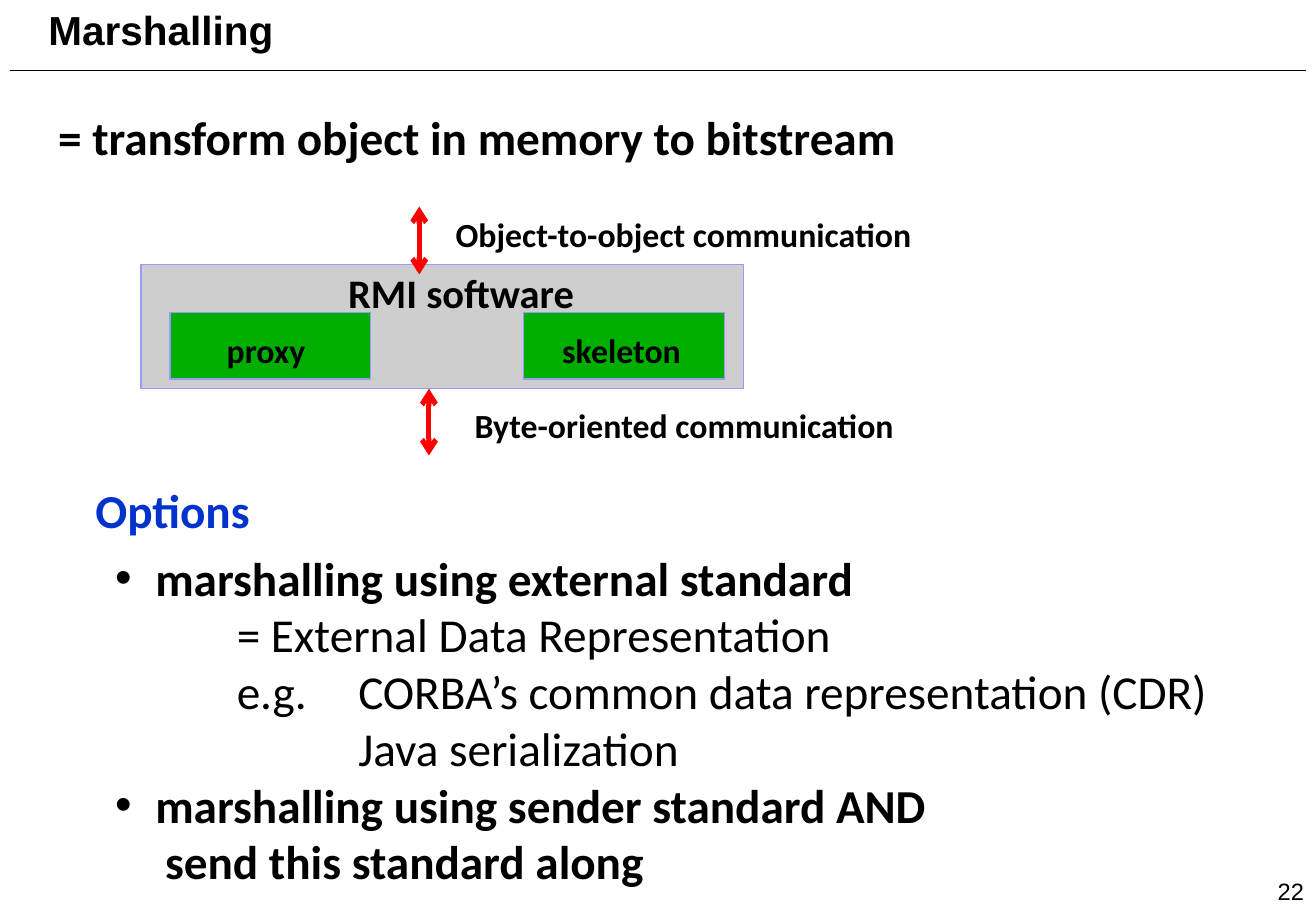
from lxml import etree
from pptx import Presentation
from pptx import util as u
from pptx.dml.color import RGBColor
from pptx.enum import shapes, text
from pptx.oxml.ns import qn

PX = 9144
LEFT, CENTER, RIGHT = text.PP_ALIGN.LEFT, text.PP_ALIGN.CENTER, text.PP_ALIGN.RIGHT
TOP, MIDDLE, BOTTOM = text.MSO_ANCHOR.TOP, text.MSO_ANCHOR.MIDDLE, text.MSO_ANCHOR.BOTTOM


def color(value):
    return RGBColor.from_string(value)


def style(para, size, bold=True, ink="000000", face="Calibri", align=LEFT):
    para.alignment = align
    para.font.size = u.Pt(size)
    para.font.bold = bold
    para.font.name = face
    para.font.color.rgb = color(ink)


deck = Presentation()
deck.slide_width, deck.slide_height = 1083 * PX, 750 * PX
page = deck.slides.add_slide(deck.slide_layouts[6])

blocks = [
    ("RMI software", 116, 218, 496, 102, "CECECE", 24, TOP, (31, 0, 3)),
    ("proxy", 140, 257, 165, 55, "00AE00", 20, MIDDLE, (0, 7, 7)),
    ("skeleton", 431, 257, 165, 55, "00AE00", 20, MIDDLE, (0, 4, 7)),
]
for label, x, y, w, h, fill, size, anchor, margins in blocks:
    block = page.shapes.add_shape(
        shapes.MSO_SHAPE.RECTANGLE, x * PX, y * PX, w * PX, h * PX)
    block.shadow.inherit = False
    block.fill.solid()
    block.fill.fore_color.rgb = color(fill)
    block.line.color.rgb = color("9999FF")
    block.line.width = u.Pt(0.75)
    frame = block.text_frame
    frame.text = label
    frame.vertical_anchor = anchor
    frame.margin_left, frame.margin_right, frame.margin_top = [m * PX for m in margins]
    frame.margin_bottom = 0
    style(frame.paragraphs[0], size, align=CENTER)

lines = [
    (8, 58, 1075, 58, "000000", 1, False),
    (345, 170, 345, 226, "FF0000", 3, True),
    (353, 320, 353, 375, "FF0000", 3, True),
]
for x1, y1, x2, y2, ink, width, arrow in lines:
    line = page.shapes.add_connector(
        shapes.MSO_CONNECTOR.STRAIGHT, x1 * PX, y1 * PX, x2 * PX, y2 * PX)
    line.line.color.rgb = color(ink)
    line.line.width = u.Pt(width)
    if arrow:
        outline = line.line._get_or_add_ln()
        for end in ("a:headEnd", "a:tailEnd"):
            etree.SubElement(outline, qn(end), type="arrow")
    etree.SubElement(line._element.spPr, qn("a:effectLst"))

labels = [
    ("Marshalling", 30, -1, 205, 50, 24, "000000", "Arial", True, LEFT, TOP),
    ("= transform object in memory to bitstream",
     38, 84, 717, 57, 28, "000000", "Calibri", True, LEFT, TOP),
    ("Object-to-object communication",
     363, 171, 399, 44, 20, "000000", "Calibri", True, CENTER, TOP),
    ("Byte-oriented communication",
     379, 328, 368, 44, 20, "000000", "Calibri", True, CENTER, TOP),
    ("Options", 68, 391, 148, 57, 28, "0033CC", "Calibri", True, CENTER, TOP),
    ("22", 875, 700, 208, 50, 14, "000000", "Arial", False, RIGHT, BOTTOM),
]
for label, x, y, w, h, size, ink, face, bold, align, anchor in labels:
    box = page.shapes.add_textbox(x * PX, y * PX, w * PX, h * PX)
    frame = box.text_frame
    frame.text = label
    frame.word_wrap = align == RIGHT
    frame.vertical_anchor = anchor
    style(frame.paragraphs[0], size, bold, ink, face, align)

options = [
    ("marshalling using external standard", 33, -33, True, True),
    ("= External Data Representation", 100, 0, False, False),
    ("e.g.\tCORBA’s common data representation (CDR)", 200, -100, False, False),
    ("Java serialization", 200, 0, False, False),
    ("marshalling using sender standard AND", 33, -33, True, True),
    ("send this standard along", 41, 0, True, False),
]
box = page.shapes.add_textbox(85 * PX, 447 * PX, 928 * PX, 293 * PX)
frame = box.text_frame
frame.word_wrap = True
frame.text = "\n".join(option[0] for option in options)
for para, (_, margin, indent, bold, bullet) in zip(frame.paragraphs, options):
    props = para._p.get_or_add_pPr()
    props.set("marL", str(margin * PX))
    props.set("indent", str(indent * PX))
    if bullet:
        etree.SubElement(props, qn("a:buFont"), typeface="Arial")
        etree.SubElement(props, qn("a:buChar"), char="•")
    style(para, 28, bold)

deck.save("out.pptx")
